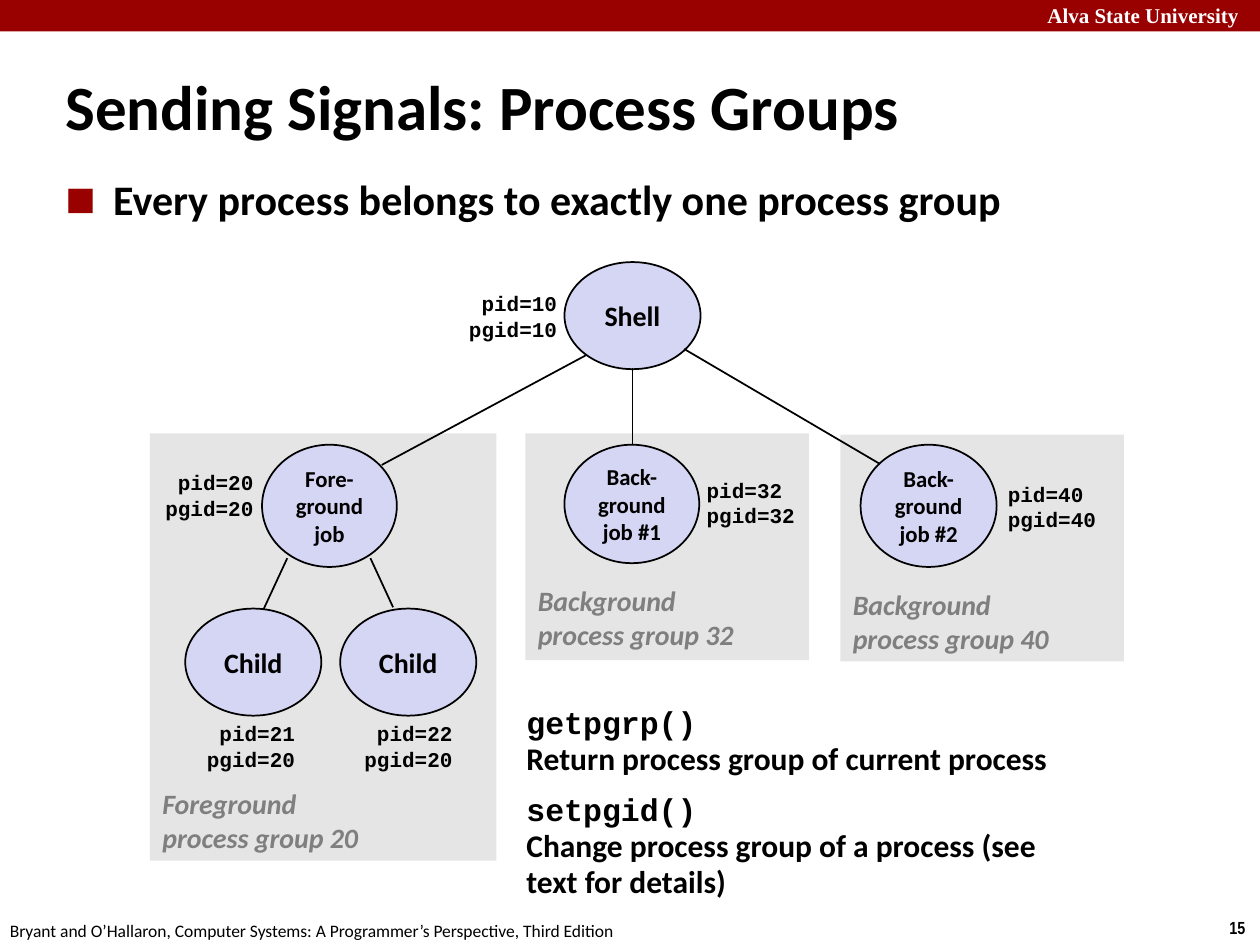
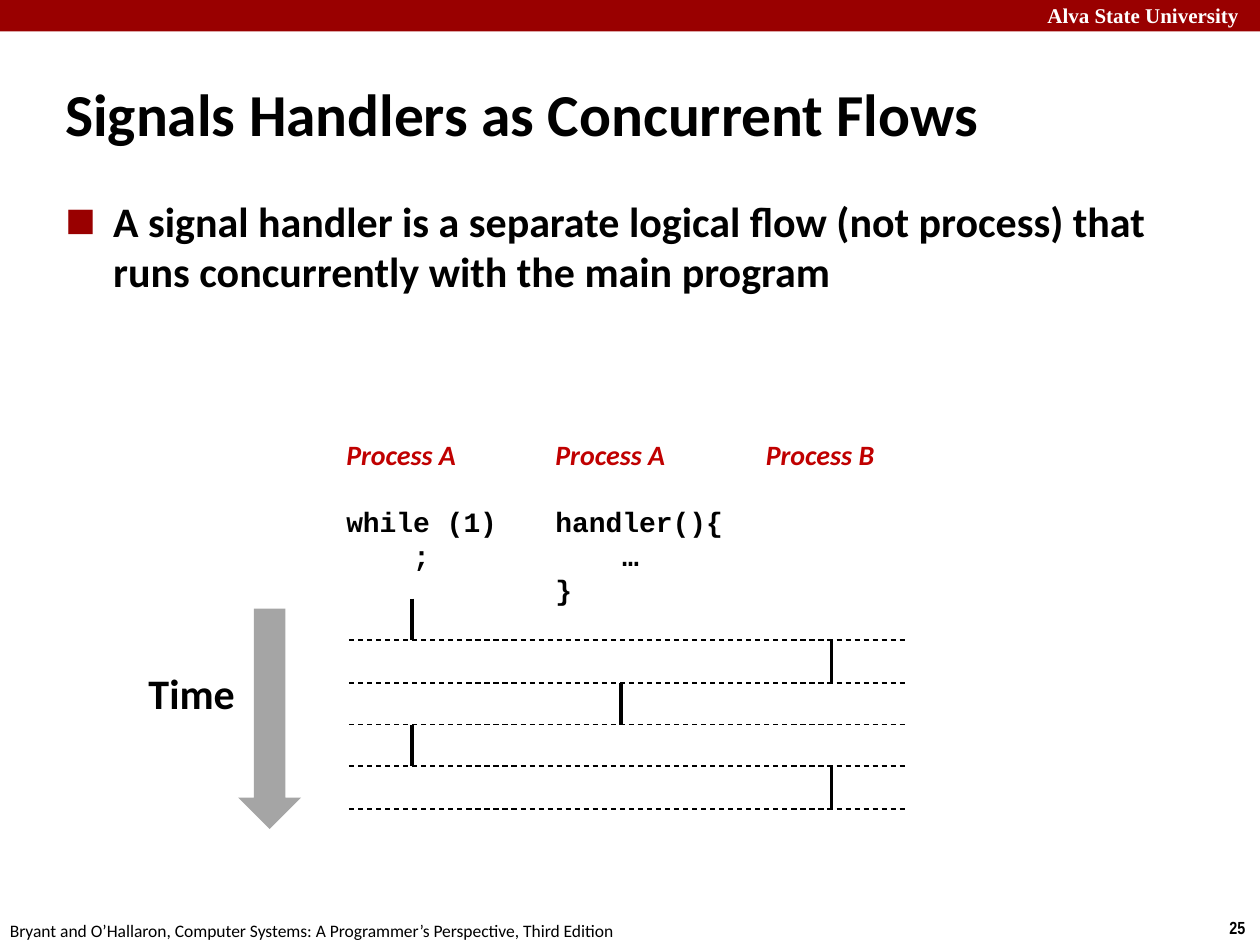
from collections import namedtuple

from lxml import etree
from pptx import Presentation
from pptx.dml.color import RGBColor
from pptx.enum.dml import MSO_LINE
from pptx.enum.shapes import MSO_CONNECTOR, MSO_SHAPE
from pptx.enum.text import MSO_ANCHOR, PP_ALIGN
from pptx.oxml.ns import qn
from pptx.util import Emu, Pt

PX = 9144  # EMU per px, 100 px to the inch

RED, BLACK, WHITE = "990000", "000000", "FFFFFF"
PANEL, NODE, ARROW = "E5E5E5", "D5D5F4", "A5A5A5"
LEFT, CENTER, RIGHT = PP_ALIGN.LEFT, PP_ALIGN.CENTER, PP_ALIGN.RIGHT

# Text styles
Style = namedtuple("Style", "size font color bold italic",
                   defaults=("Calibri", BLACK, True, False))
BRAND = Style(12, "Times New Roman", WHITE)
NUMBER = Style(10, "Arial Narrow")
FOOTER = Style(10, bold=False)
BODY = Style(24)
NODE_BIG, NODE_SMALL = Style(16), Style(13)
PID = Style(12, "Courier New")
GROUP = Style(16, color="7F7F7F", italic=True)
CALL, CALL_INFO = Style(18, "Courier New"), Style(18)
PROCESS = Style(16, color="C00000", italic=True)
CODE = Style(16, "Courier New")


def px(n):
    return Emu(n * PX)


def rgb(color):
    return RGBColor.from_string(color)


class Deck:
    def __init__(self):
        self.prs = Presentation()
        self.prs.slide_width, self.prs.slide_height = px(1000), px(750)
        self.s = None

    def slide(self, title, number, top, size):
        """Start a slide with the shared band, footer and title."""
        self.s = self.prs.slides.add_slide(self.prs.slide_layouts[6])
        self.shape(MSO_SHAPE.RECTANGLE, 0, 0, 1000, 25, RED)
        self.text(817, -3, 176, 30, ["Alva State University"], BRAND, RIGHT)
        self.text(966, 723, 36, 27, [str(number)], NUMBER)
        self.text(-2, 725, 508, 27, ["Bryant and O’Hallaron, Computer Systems: "
                                     "A Programmer’s Perspective, Third Edition"], FOOTER)
        self.text(42, top, 830, 83, [title], Style(size), anchor=MSO_ANCHOR.MIDDLE)

    def shape(self, kind, x, y, w, h, fill, line=None):
        sp = self.s.shapes.add_shape(kind, px(x), px(y), px(w), px(h))
        sp.shadow.inherit = False
        sp.fill.solid()
        sp.fill.fore_color.rgb = rgb(fill)
        if line:
            sp.line.color.rgb = rgb(line)
            sp.line.width = Pt(1)
        else:
            sp.line.fill.background()
        return sp

    def para(self, tf, runs, align=LEFT, before=None, spacing=None, indent=0):
        """Add a paragraph of (text, style) runs; None stands for a line break."""
        p = tf.paragraphs[0]
        if p.runs:
            p = tf.add_paragraph()
        p.alignment = align
        if before:
            p.space_before = Pt(before)
        if spacing:
            p.line_spacing = spacing
        if indent:
            p._p.get_or_add_pPr().set("marL", str(px(indent)))
        for run in runs:
            if run is None:
                p.add_line_break()
                continue
            text, style = run
            r = p.add_run()
            r.text = text
            r.font.size, r.font.name = Pt(style.size), style.font
            r.font.bold, r.font.italic = style.bold, style.italic
            r.font.color.rgb = rgb(style.color)
        return p

    def text(self, x, y, w, h, lines, style=None, align=LEFT,
             anchor=MSO_ANCHOR.TOP, spacing=None):
        tf = self.s.shapes.add_textbox(px(x), px(y), px(w), px(h)).text_frame
        tf.word_wrap = True
        tf.vertical_anchor = anchor
        for line in lines:
            self.para(tf, [(line, style)], align, spacing=spacing)
        return tf

    def bullet(self, x, y, w, h, text):
        """Add body text with a red square bullet."""
        tf = self.text(x, y, w, h, [])
        pPr = self.para(tf, [(text, BODY)], indent=38)._p.get_or_add_pPr()
        pPr.set("indent", str(px(-38)))
        clr = etree.SubElement(pPr, qn("a:buClr"))
        etree.SubElement(clr, qn("a:srgbClr")).set("val", RED)
        etree.SubElement(pPr, qn("a:buSzPct")).set("val", "120000")
        etree.SubElement(pPr, qn("a:buFont")).set("typeface", "Arial")
        etree.SubElement(pPr, qn("a:buChar")).set("char", "■")

    def node(self, x, y, w, h, lines, style):
        sp = self.shape(MSO_SHAPE.OVAL, x, y, w, h, NODE, BLACK)
        tf = sp.text_frame
        tf.vertical_anchor = MSO_ANCHOR.MIDDLE
        for line in lines:
            self.para(tf, [(line, style)], CENTER)

    def pid(self, x, y, pid, pgid, align):
        self.text(x, y, 91, 50, [f"pid={pid}", f"pgid={pgid}"], PID, align,
                  MSO_ANCHOR.MIDDLE, Pt(14.5))

    def line(self, x1, y1, x2, y2, width=1, dash=None):
        c = self.s.shapes.add_connector(MSO_CONNECTOR.STRAIGHT,
                                        px(x1), px(y1), px(x2), px(y2))
        c.line.color.rgb = rgb(BLACK)
        c.line.width = Pt(width)
        if dash:
            c.line.dash_style = dash
        etree.SubElement(c._element.spPr, qn("a:effectLst"))


def process_groups(d):
    d.slide("Sending Signals: Process Groups", 15, 42, 36)
    d.bullet(42, 133, 844, 67, "Every process belongs to exactly one process group")

    # Group panels
    for x, y, w, h in [(667, 345, 225, 180), (417, 344, 225, 180), (119, 344, 275, 339)]:
        d.shape(MSO_SHAPE.RECTANGLE, x, y, w, h, PANEL)

    # Process tree
    d.node(208, 353, 107, 97, ["Fore-", "ground", "job"], NODE_SMALL)
    d.node(448, 353, 107, 94, ["Back-", "ground", "job #1"], NODE_SMALL)
    d.node(683, 353, 108, 97, ["Back-", "ground", "job #2"], NODE_SMALL)
    for x, y, name in [(448, 208, "Shell"), (147, 483, "Child"), (270, 483, "Child")]:
        d.node(x, y, 108, 85, [name], NODE_BIG)
    for ends in [(228, 443, 209, 484), (294, 443, 312, 482), (502, 292, 502, 353),
                 (465, 282, 303, 369), (543, 277, 698, 368)]:
        d.line(*ends)

    # Process ids
    for x, y, pid, pgid, align in [
            (361, 226, 10, 10, RIGHT), (120, 368, 20, 20, RIGHT),
            (551, 374, 32, 32, LEFT), (790, 377, 40, 40, LEFT),
            (153, 567, 21, 20, RIGHT), (278, 567, 22, 20, RIGHT)]:
        d.pid(x, y, pid, pgid, align)

    # Group captions
    for x, y, kind, pgid in [(119, 619, "Foreground", 20), (417, 458, "Background", 32),
                             (667, 461, "Background", 40)]:
        d.text(x, y, 193, 64, [kind, f"process group {pgid}"], GROUP,
               anchor=MSO_ANCHOR.MIDDLE)

    # System calls
    tf = d.text(408, 555, 450, 170, [])
    for call, info, before in [
            ("getpgrp()", "Return process group of current process", None),
            ("setpgid()", "Change process group of a process (see text for details)", 9)]:
        d.para(tf, [(call, CALL), None, (info, CALL_INFO)], before=before, spacing=0.95)


def concurrent_flows(d):
    d.slide("Signals Handlers as Concurrent Flows", 25, 48, 34)
    d.bullet(42, 150, 909, 142, "A signal handler is a separate logical flow (not process) "
                                "that runs concurrently with the main program")

    # Columns: name and code as (text, indent)
    columns = [("Process A", [("while (1)", 0), (";", 53)]),
               ("Process A", [("handler(){", 0), ("…", 53), ("}", 0)]),
               ("Process B", [])]
    lefts = [265, 431, 598]
    for x, (name, code) in zip(lefts, columns):
        tf = d.text(x, 342, 154, 144, [name], PROCESS)
        for i, (text, indent) in enumerate(code):
            d.para(tf, [(text, CODE)], before=0 if i else 19,
                   spacing=Pt(19.5), indent=indent)

    # Which column runs in each time slice, with a dashed line after each
    slices = [475, 508, 542, 575, 608, 642]
    for column, top, bottom in zip([0, 2, 1, 0, 2], slices, slices[1:]):
        x = lefts[column] + 62
        d.line(x, top, x, bottom, 2)
        d.line(277, bottom, 718, bottom, 0.75, MSO_LINE.DASH)

    # Time arrow
    d.text(108, 525, 95, 50, ["Time"], BODY)
    d.shape(MSO_SHAPE.DOWN_ARROW, 189, 483, 50, 175, ARROW)


def main():
    d = Deck()
    process_groups(d)
    concurrent_flows(d)
    d.prs.save("out.pptx")


if __name__ == "__main__":
    main()
